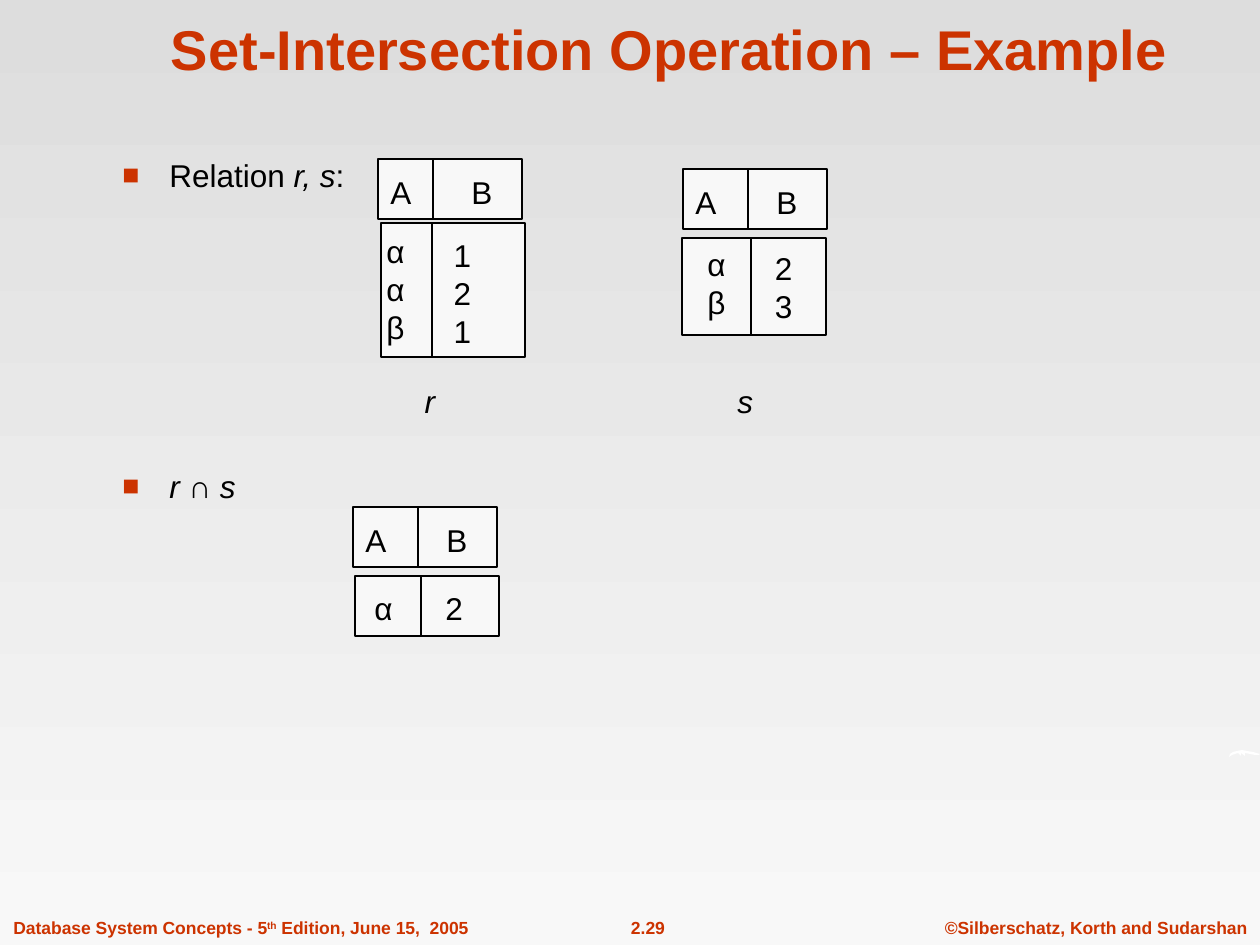
from dataclasses import dataclass

from lxml import etree
from pptx import Presentation
from pptx import util as u
from pptx.dml.color import RGBColor
from pptx.enum import shapes, text
from pptx.oxml import ns

EMU_PER_PX = 914400 / 126
CENTER, LEFT = text.PP_ALIGN.CENTER, text.PP_ALIGN.LEFT


@dataclass(frozen=True)
class Theme:
    font: str = "Arial"
    accent: str = "CC3300"
    ink: str = "000000"
    panel: str = "F8F8F8"
    top: str = "DDDDDD"
    white: str = "FFFFFF"
    title: int = 32
    body: int = 18
    footer: int = 10
    line: float = 0.75


THEME = Theme()


def px(n):
    return u.Emu(round(n * EMU_PER_PX))


def rgb(code):
    return RGBColor.from_string(code)


def sub(parent, tag, **attrs):
    return etree.SubElement(parent, ns.qn(tag), attrs)


def add_run(p, words, size=THEME.body, color=THEME.ink, bold=False, italic=False):
    r = p.add_run()
    r.text = words
    r.font.name, r.font.size = THEME.font, u.Pt(size)
    r.font.bold, r.font.italic = bold, italic
    r.font.color.rgb = rgb(color)
    return r


def add_text(slide, box, lines, align=CENTER, wrap=False, **style):
    tf = slide.shapes.add_textbox(*map(px, box)).text_frame
    tf.word_wrap = wrap
    for i, line in enumerate(lines):
        p = tf.add_paragraph() if i else tf.paragraphs[0]
        p.alignment = align
        add_run(p, line, **style)
    return tf


def add_row(slide, box, cells, gap):
    """Place one line of cells whose second cell starts at a tab stop, gap px in."""
    tf = add_text(slide, box, ["\t".join(cells)], align=LEFT, wrap=True)
    tabs = sub(tf.paragraphs[0]._p.get_or_add_pPr(), "a:tabLst")
    sub(tabs, "a:tab", pos=str(px(gap)), algn="l")


def add_panel(slide, box, split):
    """Draw a bordered panel with a vertical divider split px from its left."""
    x, y, w, h = box
    sp = slide.shapes.add_shape(shapes.MSO_SHAPE.RECTANGLE, *map(px, box))
    sp.shadow.inherit = False
    sp.fill.solid()
    sp.fill.fore_color.rgb = rgb(THEME.panel)
    divider = slide.shapes.add_connector(
        shapes.MSO_CONNECTOR.STRAIGHT,
        px(x + split), px(y + 1), px(x + split), px(y + h - 1))
    sub(divider._element.spPr, "a:effectLst")
    for edge in (sp, divider):
        edge.line.color.rgb = rgb(THEME.ink)
        edge.line.width = u.Pt(THEME.line)


def add_header(slide, x, y, split):
    add_panel(slide, (x, y, 144, 60), split)
    add_row(slide, (x, y + 8, 144, 50), "AB", 81)


def add_relation(slide, head, head_split, body, body_split, inset, columns, name):
    """Draw a relation: header, body with two columns of values, and its name."""
    add_header(slide, *head, head_split)
    add_panel(slide, body, body_split)
    x, y, _, h = body
    dx, dy = inset
    keys, values = columns
    add_text(slide, (x + dx, y + dy, 45, h - 8), keys)
    add_text(slide, (x + dx + 68, y + dy + 4, 43, h - 8), values)
    name_x, name_y = name[1:]
    add_text(slide, (name_x, name_y, 38, 50), [name[0]], italic=True)


def add_result(slide, x, y):
    add_header(slide, x, y, 65)
    add_panel(slide, (x + 2, y + 69, 144, 60), 66)
    add_row(slide, (x + 9, y + 76, 137, 50), "α2", 71)


def add_title(slide, box):
    tf = add_text(slide, box, ["Set-Intersection Operation – Example"], wrap=True,
                  size=THEME.title, color=THEME.accent, bold=True)
    tf.vertical_anchor = text.MSO_ANCHOR.BOTTOM


def add_bullets(slide, box):
    items = [
        (0, [("Relation ", False), ("r, s", True), (":", False)]),
        (156, [("r ", True), ("∩ ", False), ("s", True)]),
    ]
    tf = slide.shapes.add_textbox(*map(px, box)).text_frame
    tf.word_wrap = True
    for i, (space, runs) in enumerate(items):
        p = tf.add_paragraph() if i else tf.paragraphs[0]
        p.space_before = u.Pt(space)
        pPr = p._p.get_or_add_pPr()
        pPr.set("marL", str(px(47)))
        pPr.set("indent", str(px(-47)))
        sub(sub(pPr, "a:buClr"), "a:srgbClr", val=THEME.accent)
        sub(pPr, "a:buSzPct", val="90000")
        sub(pPr, "a:buFont", typeface=THEME.font)
        sub(pPr, "a:buChar", char="■")
        for words, italic in runs:
            add_run(p, words, italic=italic)


def add_footer(slide, y, h):
    style = dict(size=THEME.footer, color=THEME.accent, bold=True)
    add_text(slide, (932, y, 328, h), ["©Silberschatz, Korth and Sudarshan"], **style)
    add_text(slide, (586, y, 124, h), ["2.29"], **style)
    tf = add_text(slide, (1, y, 480, h), ["Database System Concepts - 5"],
                  align=LEFT, **style)
    p = tf.paragraphs[0]
    add_run(p, "th", **style).font._element.set("baseline", "30000")
    add_run(p, " Edition, June 15,  2005", **style)


def add_swoosh(slide, x, y):
    outline = [(0, 7), (1, 4), (4, 2), (8, 1), (13, 0), (18, 1), (24, 2), (31, 4),
               (30, 5), (26, 5), (21, 4), (16, 3), (16, 6), (12, 3), (12, 6),
               (9, 3), (6, 4), (3, 5)]
    start, *rest = [(px(x + dx), px(y + dy)) for dx, dy in outline]
    builder = slide.shapes.build_freeform(*start)
    builder.add_line_segments(rest, close=True)
    sp = builder.convert_to_shape()
    sp.shadow.inherit = False
    sp.fill.solid()
    sp.fill.fore_color.rgb = rgb(THEME.white)
    sp.line.fill.background()


def set_background(slide):
    fill = slide.background.fill
    fill.gradient()
    fill.gradient_angle = 270
    for stop, position, color in zip(fill.gradient_stops, (0, 1),
                                     (THEME.top, THEME.panel)):
        stop.position = position
        stop.color.rgb = rgb(color)


def main():
    prs = Presentation()
    prs.slide_width, prs.slide_height = px(1260), px(945)
    slide = prs.slides.add_slide(prs.slide_layouts[6])
    set_background(slide)
    add_footer(slide, 911, 34)
    add_swoosh(slide, 1229, 750)
    add_title(slide, (113, 4, 1113, 84))
    add_bullets(slide, (110, 150, 1081, 671))
    add_relation(slide, (378, 159), 55, (381, 223, 144, 134), 51, (-8, 3),
                 ("ααβ", "121"), ("r", 411, 376))
    add_relation(slide, (683, 169), 65, (682, 238, 144, 97), 69, (12, 1),
                 ("αβ", "23"), ("s", 725, 376))
    add_result(slide, 353, 507)
    prs.save("out.pptx")


if __name__ == "__main__":
    main()
